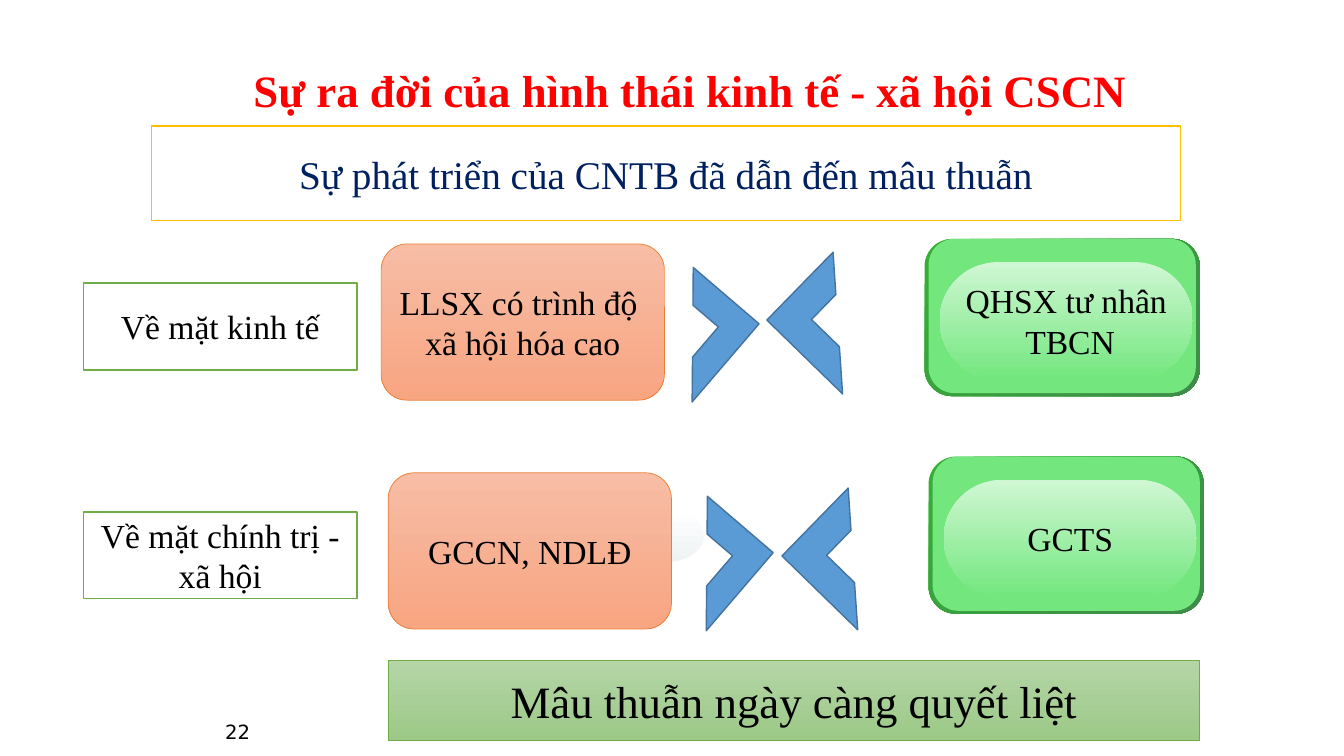
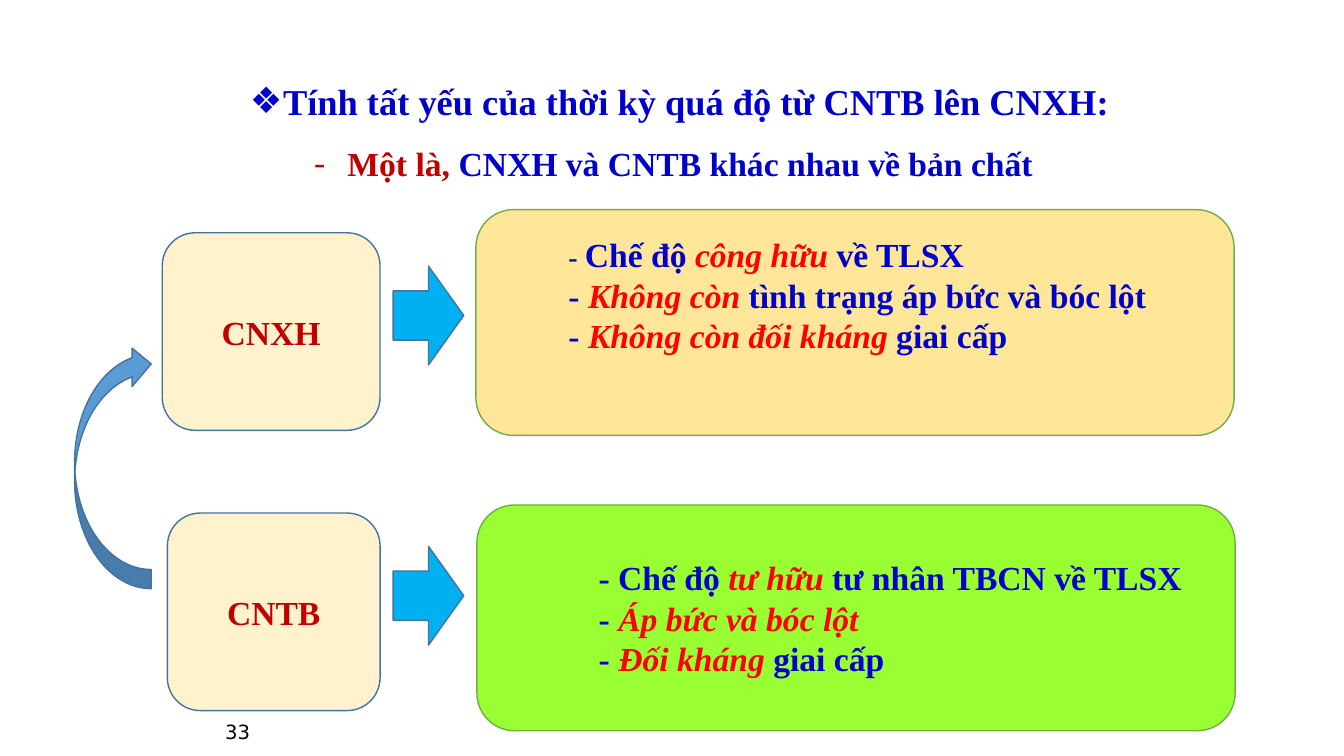
from dataclasses import dataclass

from lxml import etree
from pptx import Presentation, util as u
from pptx.dml.color import RGBColor
from pptx.enum import shapes, text
from pptx.oxml.ns import qn

Kind = shapes.MSO_SHAPE
Align = text.PP_ALIGN


@dataclass(frozen=True)
class Theme:
    serif: str = "Times New Roman"
    sans: str = "DejaVu Sans"
    title: int = 32
    heading: int = 26
    lead: int = 28
    body: int = 24
    dash: int = 20
    number: int = 14
    black: str = "000000"
    white: str = "FFFFFF"
    red: str = "FF0000"
    crimson: str = "C00000"
    navy: str = "002060"
    blue: str = "0000CC"
    arrow: str = "5B9BD5"
    arrow_line: str = "43739E"
    bright_arrow: str = "00B0F0"
    green_line: str = "70AD47"
    gold_line: str = "FFC000"
    orange_line: str = "ED7D31"
    orange: tuple = ("F7BDA5", "F8A582")
    mist: tuple = ("FFFFFF", "EEF2F3")
    rim: tuple = ("34B034", "3F8B4A")
    green: str = "73E77E"
    gloss: tuple = ("D0F7D4", "73E77E")
    sage: tuple = ("B5D5A7", "9CC987")
    cream: str = "FFF2CC"
    sand: str = "FFE699"
    lime: str = "99FF33"


theme = Theme()


def draw(page, kind, place, fill, line=None, weight=1, angle=270):
    """Add a preset shape; a pair of fill colours makes a gradient."""
    shape = page.shapes.add_shape(kind, *map(u.Inches, place))
    shape.shadow.inherit = False
    if isinstance(fill, tuple):
        shape.fill.gradient()
        shape.fill.gradient_angle = angle
        for stop, colour in zip(shape.fill.gradient_stops, fill):
            stop.color.rgb = RGBColor.from_string(colour)
    else:
        shape.fill.solid()
        shape.fill.fore_color.rgb = RGBColor.from_string(fill)
    if line:
        shape.line.color.rgb = RGBColor.from_string(line)
        shape.line.width = u.Pt(weight)
    else:
        shape.line.fill.background()
    return shape


def write(box, lines, size=theme.body, colour=theme.black, bold=False,
          align=Align.CENTER, font=theme.serif, wrap=True):
    """Fill a box; each line is a list of strings or (string, colour) spans."""
    frame = box.text_frame
    frame.word_wrap = wrap
    frame.vertical_anchor = text.MSO_ANCHOR.MIDDLE
    for index, line in enumerate(lines):
        para = frame.add_paragraph() if index else frame.paragraphs[0]
        para.alignment = align
        for item in line:
            words, tint = item if isinstance(item, tuple) else (item, colour)
            span = para.add_run()
            span.text = words
            span.font.name = font
            span.font.size = u.Pt(size)
            span.font.bold = bold
            span.font.italic = tint == theme.red and colour != theme.red
            span.font.color.rgb = RGBColor.from_string(tint)
    return frame


deck = Presentation()
deck.slide_width, deck.slide_height = u.Inches(13.33), u.Inches(7.5)
pages = []
for number in ("22", "33"):
    page = deck.slides.add_slide(deck.slide_layouts[6])
    box = page.shapes.add_textbox(*map(u.Inches, (1.75, 7.05, 0.83, 0.41)))
    write(box, [[number]], theme.number, align=Align.RIGHT, font=theme.sans)
    pages.append(page)
conflict, transition = pages

# Slide 1: two rows of opposing forces
box = conflict.shapes.add_textbox(*map(u.Inches, (1.98, 0.57, 9.73, 0.64)))
write(box, [["Sự ra đời của hình thái kinh tế - xã hội CSCN"]],
      theme.title, theme.red, bold=True)
box = draw(conflict, Kind.RECTANGLE, (1.5, 1.25, 10.21, 0.94), theme.white, theme.gold_line)
write(box, [["Sự phát triển của CNTB đã dẫn đến mâu thuẫn"]], theme.lead, theme.navy)
draw(conflict, Kind.OVAL, (6.16, 5.05, 0.82, 0.53), theme.mist)

rows = [
    ("Về mặt kinh tế", 2.81,
     [["LLSX có trình độ "], ["xã hội hóa cao"]], (3.78, 2.42),
     [["QHSX tư nhân"], [" TBCN"]], (9.17, 2.37),
     (6.36, 2.89), (7.84, 2.68)),
    ("Về mặt chính trị - xã hội", 5.08,
     [["GCCN, NDLĐ"]], (3.85, 4.69),
     [["GCTS"]], (9.21, 4.53),
     (6.5, 5.16), (7.99, 5.02)),
]
for label, label_top, force, force_at, rival, rival_at, right_tip, left_tip in rows:
    box = draw(conflict, Kind.RECTANGLE, (0.83, label_top, 2.71, 0.86),
               theme.white, theme.green_line)
    write(box, [[label]])
    box = draw(conflict, Kind.ROUNDED_RECTANGLE, (*force_at, 2.81, 1.55),
               theme.orange, theme.orange_line, 0.5)
    write(box, force, wrap=False)

    left, top = rival_at
    rim = draw(conflict, Kind.ROUNDED_RECTANGLE, (left, top, 2.73, 1.56), theme.rim, angle=315)
    rim.adjustments[0] = 0.175
    draw(conflict, Kind.ROUNDED_RECTANGLE, (left + 0.04, top, 2.65, 1.53), theme.green)
    gloss = draw(conflict, Kind.ROUNDED_RECTANGLE, (left + 0.15, top + 0.23, 2.51, 1.16),
                 theme.gloss)
    gloss.adjustments[0] = 0.5
    write(gloss, rival, wrap=False)

    for place, rotation in (((*right_tip, 1.02, 0.86), 130.6), ((*left_tip, 0.94, 1.05), 314.3)):
        chevron = draw(conflict, Kind.HALF_FRAME, place, theme.arrow, theme.arrow_line)
        chevron.rotation = rotation

box = draw(conflict, Kind.RECTANGLE, (3.85, 6.55, 8.05, 0.8), theme.sage, theme.green_line, 0.5)
write(box, [["Mâu thuẫn ngày càng quyết liệt"]], theme.title)

# Slide 2: two societies compared
box = transition.shapes.add_textbox(*map(u.Inches, (1.08, 0.55, 11.33, 1.29)))
heading = write(box, [
    ["Tính tất yếu của thời kỳ quá độ từ CNTB lên CNXH:"],
    [("Một là, ", theme.crimson), "CNXH và CNTB khác nhau về bản chất"],
], theme.body, theme.blue, bold=True)
heading.paragraphs[0].runs[0].font.size = u.Pt(theme.heading)
bullets = (("❖", theme.sans, 0), ("-", theme.serif, 0.13))
for para, (mark, font, right_margin) in zip(heading.paragraphs, bullets):
    para.line_spacing = 1.5
    props = para._p.get_or_add_pPr()
    props.set("marL", str(u.Inches(0.33)))
    props.set("marR", str(u.Inches(right_margin)))
    props.set("indent", str(-u.Inches(0.33)))
    etree.SubElement(props, qn("a:buFont")).set("typeface", font)
    etree.SubElement(props, qn("a:buChar")).set("char", mark)

societies = [
    ("CNXH", (1.61, 2.31, 2.16, 1.96), 2.64, (4.72, 2.08, 7.52, 2.24), theme.sand),
    ("CNTB", (1.66, 5.09, 2.11, 1.96), 5.42, (4.73, 5.01, 7.52, 2.24), theme.lime),
]
panels = []
for name, name_place, arrow_top, panel_place, colour in societies:
    panels.append(draw(transition, Kind.ROUNDED_RECTANGLE, panel_place, colour, theme.green_line))
    draw(transition, Kind.RIGHT_ARROW, (3.9, arrow_top, 0.7, 0.98),
         theme.bright_arrow, theme.arrow_line)
    box = draw(transition, Kind.ROUNDED_RECTANGLE, name_place, theme.cream, theme.arrow_line)
    write(box, [[name]], colour=theme.crimson, bold=True)

curve = draw(transition, Kind.CURVED_LEFT_ARROW, (0.74, 3.42, 0.76, 2.42),
             theme.arrow, theme.arrow_line)
curve.rotation = 180

box = transition.shapes.add_textbox(*map(u.Inches, (5.54, 2.27, 6.13, 1.31)))
traits = write(box, [
    ["- ", "Chế độ ", ("công hữu ", theme.red), "về TLSX"],
    ["- ", ("Không còn ", theme.red), "tình trạng áp bức và bóc lột"],
    ["- ", ("Không còn đối kháng ", theme.red), "giai cấp"],
], colour=theme.blue, bold=True, align=Align.LEFT)
traits.paragraphs[0].runs[0].font.size = u.Pt(theme.dash)

traits = write(panels[1], [
    ["- Chế độ ", ("tư hữu ", theme.red), "tư nhân TBCN về TLSX"],
    ["- ", ("Áp bức và bóc lột", theme.red)],
    ["- ", ("Đối kháng ", theme.red), "giai cấp"],
], colour=theme.blue, bold=True, align=Align.LEFT)
for para in traits.paragraphs:
    para._p.get_or_add_pPr().set("marL", str(u.Inches(1)))

deck.save("out.pptx")
